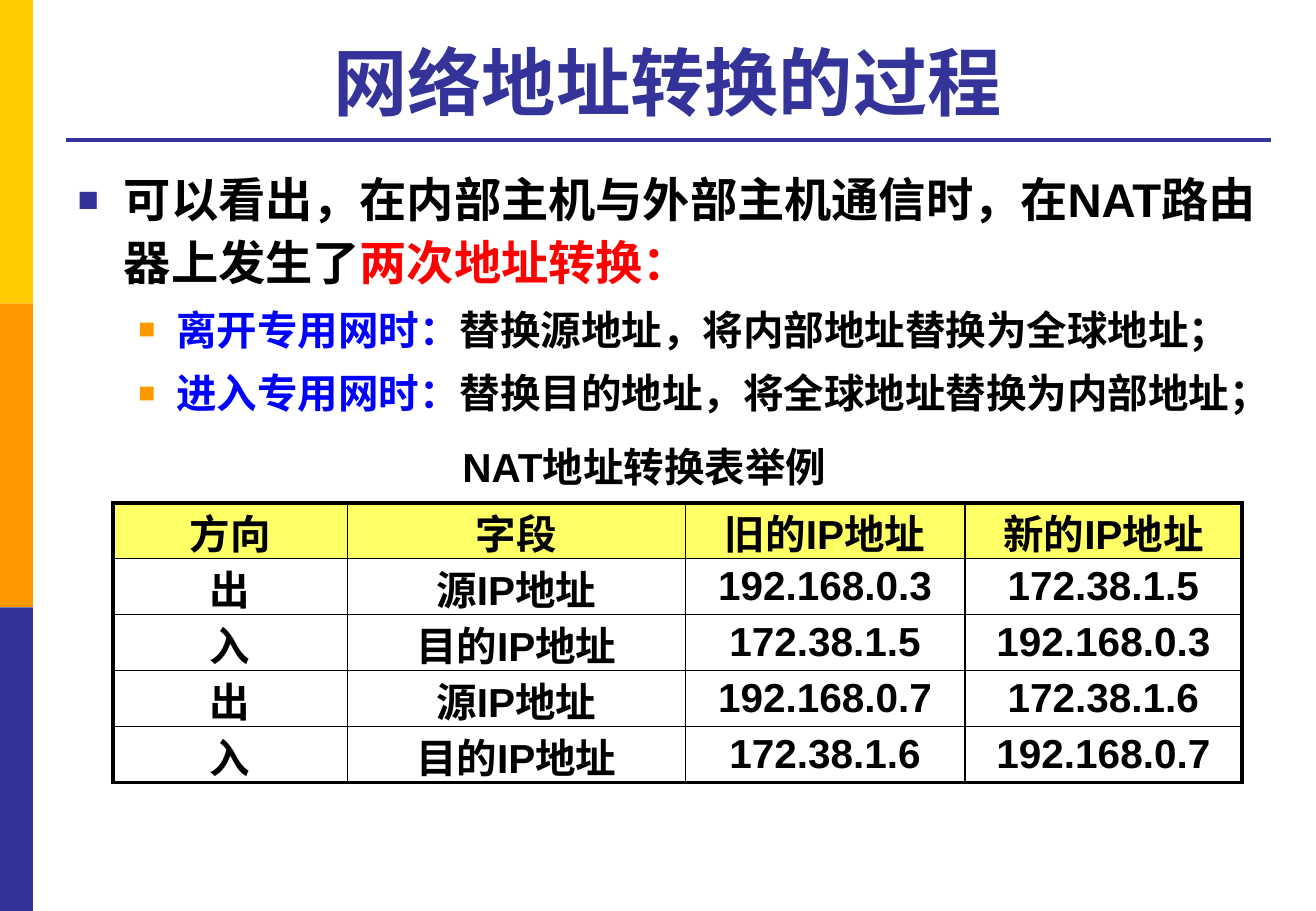
from dataclasses import dataclass
from itertools import accumulate

from lxml.etree import SubElement
from pptx import Presentation
from pptx.dml.color import RGBColor
from pptx.enum.shapes import MSO_CONNECTOR, MSO_SHAPE
from pptx.enum.text import MSO_ANCHOR, PP_ALIGN
from pptx.oxml import parse_xml
from pptx.oxml.ns import nsdecls, qn
from pptx.slide import Slide
from pptx.table import _Cell
from pptx.text.text import TextFrame, _Paragraph, _Run
from pptx.util import Inches, Pt

# Page and grid
WIDTH, HEIGHT = Inches(10.83), Inches(7.5)
COLUMN, ROW = WIDTH / 40, HEIGHT / 30

FONT = "Arial"
BLACK = RGBColor(0x00, 0x00, 0x00)
RED = RGBColor(0xFF, 0x00, 0x00)
BLUE = RGBColor(0x00, 0x00, 0xFF)
INDIGO = RGBColor(0x33, 0x33, 0x99)
GOLD = RGBColor(0xFF, 0xCC, 0x00)
ORANGE = RGBColor(0xFF, 0x99, 0x00)
YELLOW = RGBColor(0xFF, 0xFF, 0x66)


@dataclass(frozen=True)
class Area:
    """A place on the slide, in grid columns and rows."""
    left: float
    top: float
    width: float
    height: float

    def lengths(self) -> tuple[int, int, int, int]:
        return (round(self.left * COLUMN), round(self.top * ROW),
                round(self.width * COLUMN), round(self.height * ROW))


@dataclass(frozen=True)
class Level:
    """The look of a bullet level; margins are in inches."""
    size: int
    margin: float
    hanging: float
    bullet_color: RGBColor
    bullet_percent: int


@dataclass(frozen=True)
class Bullet:
    level: Level
    phrases: tuple[tuple[str, RGBColor], ...]


MAIN = Level(28, 0.38, 0.38, INDIGO, 75)
DETAIL = Level(24, 0.81, 0.31, ORANGE, 70)

BULLETS = (
    Bullet(MAIN, (("可以看出，在内部主机与外部主机通信时，在NAT路由器上发生了", BLACK),
                  ("两次地址转换：", RED))),
    Bullet(DETAIL, (("离开专用网时：", BLUE),
                    ("替换源地址，将内部地址替换为全球地址；", BLACK))),
    Bullet(DETAIL, (("进入专用网时：", BLUE),
                    ("替换目的地址，将全球地址替换为内部地址；", BLACK))),
)

TABLE_COLUMNS = (7.13, 10.27, 8.5, 8.42)
TABLE_ROW = 1.84
TABLE_ROWS = (
    ("方向", "字段", "旧的IP地址", "新的IP地址"),
    ("出", "源IP地址", "192.168.0.3", "172.38.1.5"),
    ("入", "目的IP地址", "172.38.1.5", "192.168.0.3"),
    ("出", "源IP地址", "192.168.0.7", "172.38.1.6"),
    ("入", "目的IP地址", "172.38.1.6", "192.168.0.7"),
)


def style_run(run: _Run, size: float, color: RGBColor) -> None:
    run.font.name = FONT
    run.font.size = Pt(size)
    run.font.bold = True
    run.font.color.rgb = color


def set_centred(frame: TextFrame, text: str, size: float, color: RGBColor) -> None:
    frame.text = text
    paragraph = frame.paragraphs[0]
    paragraph.alignment = PP_ALIGN.CENTER
    style_run(paragraph.runs[0], size, color)


def add_text_frame(slide: Slide, area: Area) -> TextFrame:
    frame = slide.shapes.add_textbox(*area.lengths()).text_frame
    frame.word_wrap = True
    return frame


def add_band(slide: Slide, area: Area, color: RGBColor) -> None:
    shape = slide.shapes.add_shape(MSO_SHAPE.RECTANGLE, *area.lengths())
    shape.shadow.inherit = False
    shape.fill.solid()
    shape.fill.fore_color.rgb = color
    shape.line.fill.background()


def add_rule(slide: Slide, left: float, right: float, top: float) -> None:
    height = round(top * ROW)
    rule = slide.shapes.add_connector(
        MSO_CONNECTOR.STRAIGHT, round(left * COLUMN), height, round(right * COLUMN), height)
    rule.line.color.rgb = INDIGO
    rule.line.width = Pt(2.25)
    SubElement(rule._element.spPr, qn("a:effectLst"))


def fill_bullet(paragraph: _Paragraph, bullet: Bullet) -> None:
    level = bullet.level
    properties = paragraph._p.get_or_add_pPr()
    properties.set("marL", str(Inches(level.margin)))
    properties.set("indent", str(-Inches(level.hanging)))
    color = SubElement(properties, qn("a:buClr"))
    SubElement(color, qn("a:srgbClr"), val=str(level.bullet_color))
    SubElement(properties, qn("a:buSzPct"), val=str(level.bullet_percent * 1000))
    SubElement(properties, qn("a:buFont"), typeface=FONT)
    SubElement(properties, qn("a:buChar"), char="■")
    paragraph.line_spacing = 1.1
    for text, text_color in bullet.phrases:
        run = paragraph.add_run()
        run.text = text
        style_run(run, level.size, text_color)


def set_borders(cell: _Cell, widths: dict[str, float]) -> None:
    properties = cell._tc.get_or_add_tcPr()
    for position, (side, width) in enumerate(widths.items()):
        properties.insert(position, parse_xml(
            f'<a:ln{side} {nsdecls("a")} w="{Pt(width)}"><a:solidFill>'
            f'<a:srgbClr val="{BLACK}"/></a:solidFill></a:ln{side}>'))


def add_address_table(slide: Slide, left: float, top: float) -> None:
    area = Area(left, top, sum(TABLE_COLUMNS), TABLE_ROW * len(TABLE_ROWS))
    table = slide.shapes.add_table(
        len(TABLE_ROWS), len(TABLE_COLUMNS), *area.lengths()).table
    table.first_row = table.horz_banding = False
    for column, width in zip(table.columns, TABLE_COLUMNS):
        column.width = round(width * COLUMN)
    last_row, last_column = len(TABLE_ROWS) - 1, len(TABLE_COLUMNS) - 1
    for row_index, texts in enumerate(TABLE_ROWS):
        table.rows[row_index].height = round(TABLE_ROW * ROW)
        for column_index, text in enumerate(texts):
            cell = table.cell(row_index, column_index)
            cell.vertical_anchor = MSO_ANCHOR.MIDDLE
            cell.margin_left = cell.margin_right = Inches(0.07)
            cell.margin_top = cell.margin_bottom = 0
            set_centred(cell.text_frame, text, 24, BLACK)
            if row_index == 0:
                cell.fill.solid()
                cell.fill.fore_color.rgb = YELLOW
            else:
                cell.fill.background()
            # Thick outer frame, thin inner lines
            outer = {"L": column_index == 0, "R": column_index == last_column,
                     "T": row_index == 0, "B": row_index == last_row}
            set_borders(cell, {side: 2.25 if edge else 1 for side, edge in outer.items()})


def main() -> None:
    presentation = Presentation()
    presentation.slide_width, presentation.slide_height = WIDTH, HEIGHT
    slide = presentation.slides.add_slide(presentation.slide_layouts[6])

    # Side bands and title rule
    band_height = 10
    tops = accumulate((0, band_height, band_height))
    for top, color in zip(tops, (GOLD, ORANGE, INDIGO)):
        add_band(slide, Area(0, top, 1, band_height), color)
    add_rule(slide, 2, 38.63, 4.6)

    # Title
    title = add_text_frame(slide, Area(2, 0.84, 36.6, 3.48))
    title.vertical_anchor = MSO_ANCHOR.BOTTOM
    set_centred(title, "网络地址转换的过程", 44, INDIGO)

    # Bullets
    body = add_text_frame(slide, Area(2, 5.24, 36.6, 21.6))
    for index, bullet in enumerate(BULLETS):
        paragraph = body.add_paragraph() if index else body.paragraphs[0]
        fill_bullet(paragraph, bullet)
        paragraph.space_before = Pt(6 if index else 0)

    # Table and its caption
    add_address_table(slide, 3.43, 16.56)
    caption = add_text_frame(slide, Area(12.45, 14.36, 14.26, 2))
    set_centred(caption, "NAT地址转换表举例", 24, BLACK)

    presentation.save("out.pptx")


if __name__ == "__main__":
    main()
